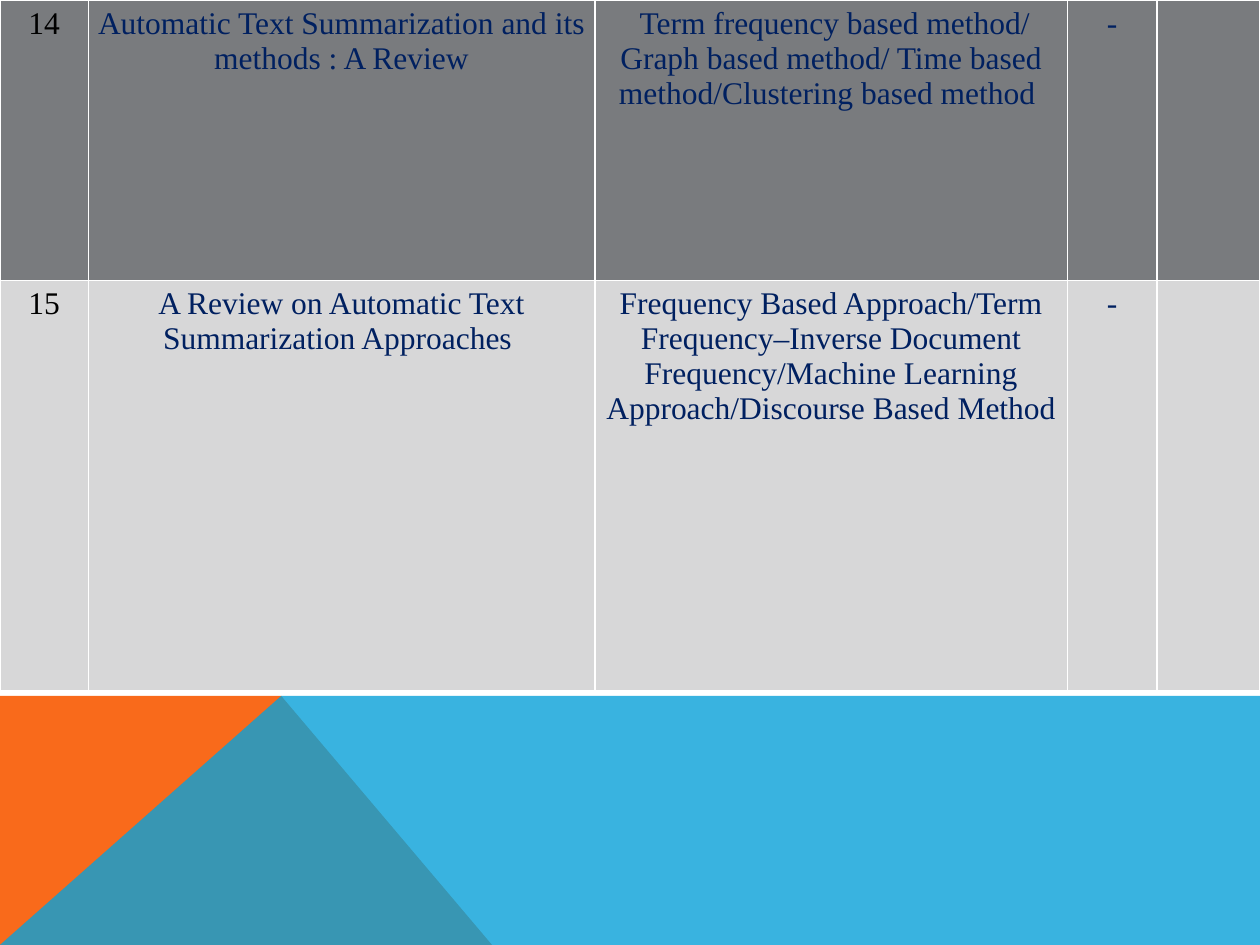
"""Build a slide with a two-row literature survey table above a folded colour band."""
from lxml import etree
from pptx import Presentation
from pptx.dml.color import RGBColor
from pptx.enum.text import PP_ALIGN
from pptx.oxml.ns import qn
from pptx.util import Cm, Pt

CENTER = PP_ALIGN.CENTER
BLACK, NAVY, WHITE = "000000", "002060", "FFFFFF"
ORANGE, BLUE = "F96A1B", "08A1D9"
DARK, LIGHT = "797B7E", "D7D7D8"


def rgb(value):
    """Return the colour for a hex string."""
    return RGBColor.from_string(value)


class Deck:
    """Hold the style and the current slide."""

    font = {"name": "Times New Roman", "size": Pt(18)}
    margins = {"margin_left": Cm(0.18), "margin_right": Cm(0.18),
               "margin_top": Cm(0.13), "margin_bottom": Cm(0.13)}

    def __init__(self, width, height):
        """Start a presentation with one blank slide."""
        self.prs = Presentation()
        self.prs.slide_width, self.prs.slide_height = Cm(width), Cm(height)
        self.s = self.prs.slides.add_slide(self.prs.slide_layouts[6])

    def polygon(self, points, color, alpha=100):
        """Draw a closed, filled outline."""
        start, *rest = [(Cm(x), Cm(y)) for x, y in points]
        builder = self.s.shapes.build_freeform(*start)
        builder.add_line_segments(rest, close=True)
        sp = builder.convert_to_shape()
        sp.shadow.inherit = False
        sp.line.fill.background()
        sp.fill.solid()
        sp.fill.fore_color.rgb = rgb(color)
        if alpha < 100:
            clr = sp.fill._xPr.find(".//" + qn("a:srgbClr"))
            etree.SubElement(clr, qn("a:alpha"), val=str(alpha * 1000))

    def borders(self, cell, color, width):
        """Line all four sides of a cell."""
        tcPr = cell._tc.get_or_add_tcPr()
        for side in ("lnL", "lnR", "lnT", "lnB"):
            ln = etree.SubElement(tcPr, qn("a:" + side), w=str(Pt(width)))
            fill = etree.SubElement(ln, qn("a:solidFill"))
            etree.SubElement(fill, qn("a:srgbClr"), val=color)

    def cell(self, cell, text, fill, color):
        """Fill a cell and set its text."""
        self.borders(cell, WHITE, 1)
        cell.fill.solid()
        cell.fill.fore_color.rgb = rgb(fill)
        for name, value in self.margins.items():
            setattr(cell, name, value)
        p = cell.text_frame.paragraphs[0]
        p.alignment = CENTER
        if text:
            r = p.add_run()
            r.text = text
            r.font.color.rgb = rgb(color)
            for name, value in self.font.items():
                setattr(r.font, name, value)

    def table(self, left, top, widths, heights, rows, fills):
        """Add a table whose first column is black and the rest navy."""
        table = self.s.shapes.add_table(
            len(heights), len(widths), Cm(left), Cm(top),
            Cm(sum(widths)), Cm(sum(heights))).table
        table.first_row = table.horz_banding = False
        for column, width in zip(table.columns, widths):
            column.width = Cm(width)
        for row, height, texts, fill in zip(table.rows, heights, rows, fills):
            row.height = Cm(height)
            for i, (cell, text) in enumerate(zip(row.cells, texts)):
                self.cell(cell, text, fill, NAVY if i else BLACK)


WIDTH, HEIGHT = 25.4, 19.05
BAND_TOP, PEAK, FOOT = 14.03, 5.67, 9.92
ROWS = [
    ("14", "Automatic Text Summarization and its methods : A Review",
     " Term frequency based method/ Graph based method/ Time based "
     "method/Clustering based method ", "-", ""),
    ("15", "A Review on Automatic Text Summarization Approaches ",
     "Frequency Based Approach/Term Frequency–Inverse Document "
     "Frequency/Machine Learning Approach/Discourse Based Method ", "-", ""),
]

deck = Deck(WIDTH, HEIGHT)
deck.polygon([(0, HEIGHT), (0, BAND_TOP), (PEAK, BAND_TOP), (FOOT, HEIGHT)], ORANGE)
deck.polygon([(0, HEIGHT), (PEAK, BAND_TOP), (WIDTH, BAND_TOP), (WIDTH, HEIGHT)],
             BLUE, alpha=80)
deck.table(0, 0, [1.78, 10.21, 9.53, 1.8, 2.08], [5.65, 8.27], ROWS, [DARK, LIGHT])
deck.prs.save("out.pptx")
